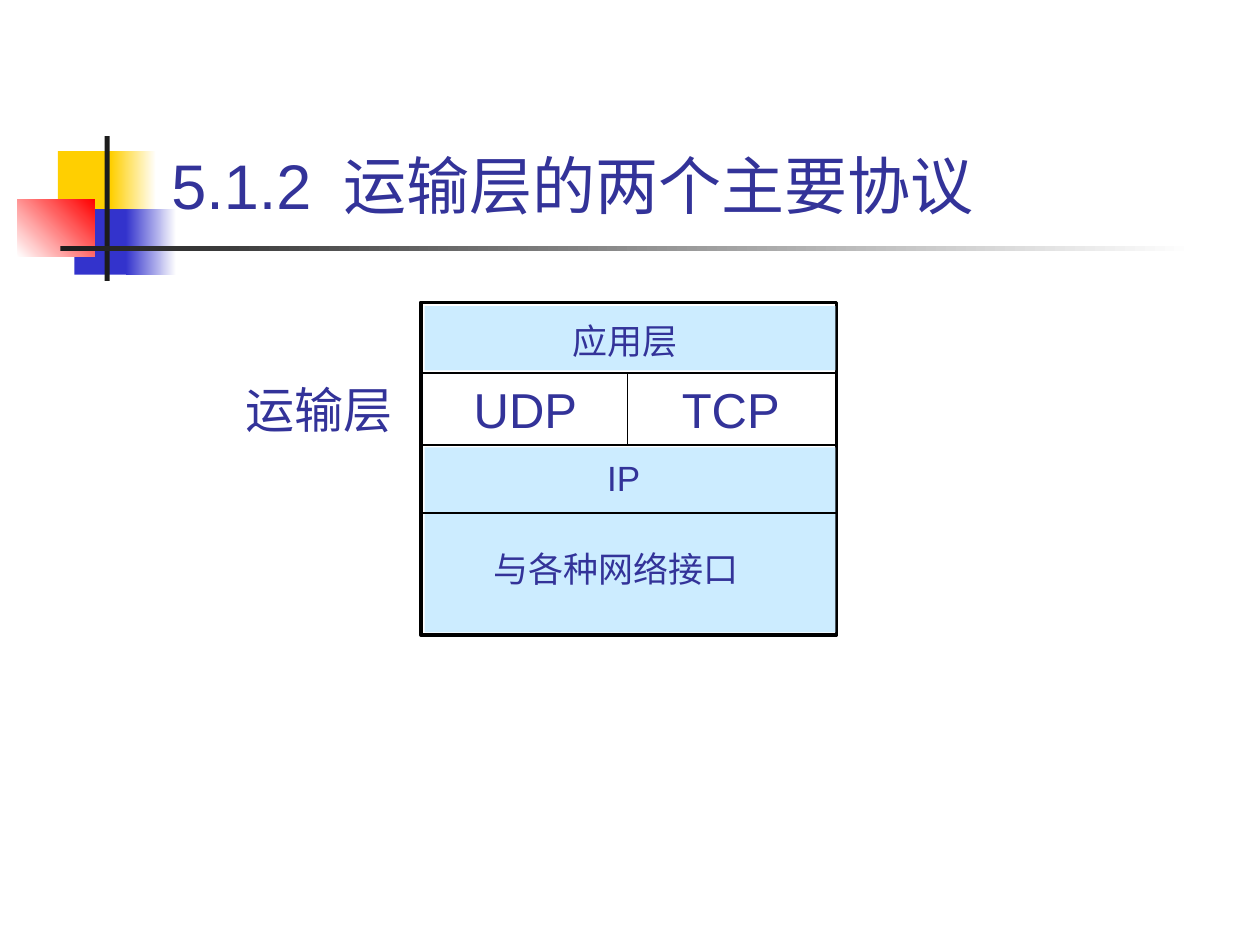
from lxml import etree
from pptx import Presentation
from pptx.dml.color import RGBColor
from pptx.enum import shapes, text
from pptx.oxml.ns import qn
from pptx.util import Inches, Pt

YELLOW = RGBColor(0xFF, 0xCF, 0x01)
BLUE = RGBColor(0x33, 0x33, 0xCC)
RED = RGBColor(0xFF, 0x00, 0x00)
DARK = RGBColor(0x1C, 0x1C, 0x1C)
WHITE = RGBColor(0xFF, 0xFF, 0xFF)
BLACK = RGBColor(0x00, 0x00, 0x00)
SKY = RGBColor(0xCC, 0xEC, 0xFF)
INK = RGBColor(0x33, 0x33, 0x99)

prs = Presentation()
prs.slide_width, prs.slide_height = Inches(10), Inches(7.5)
s = prs.slides.add_slide(prs.slide_layouts[5])


def add_rect(box, start, end=None, angle=0):
    """Add a borderless rectangle, with a gradient when an end colour is given."""
    sp = s.shapes.add_shape(shapes.MSO_SHAPE.RECTANGLE, *map(Inches, box))
    sp.shadow.inherit = False
    sp.line.fill.background()
    if end is None:
        sp.fill.solid()
        sp.fill.fore_color.rgb = start
    else:
        sp.fill.gradient()
        sp.fill.gradient_angle = angle
        for stop, color in zip(sp.fill.gradient_stops, (start, end)):
            stop.color.rgb = color
    return sp


# Corner ornament and title rule
add_rect((0.46, 1.2, 0.48, 0.52), YELLOW)
add_rect((0.88, 1.2, 0.36, 0.52), YELLOW, WHITE)
add_rect((0.59, 1.66, 0.46, 0.52), BLUE)
add_rect((1, 1.66, 0.4, 0.52), BLUE, WHITE)
add_rect((0.14, 1.58, 0.61, 0.46), WHITE, RED, 45)
add_rect((0.83, 1.08, 0.04, 1.15), DARK)
add_rect((0.48, 1.95, 9, 0.04), DARK, WHITE)

# Title, with a tab stop between number and heading
title = s.shapes.title
title.left, title.top = Inches(1.26), Inches(0.23)
title.width, title.height = Inches(8.52), Inches(1.58)
tf = title.text_frame
tf.auto_size = text.MSO_AUTO_SIZE.NONE
tf.vertical_anchor = text.MSO_ANCHOR.BOTTOM
tf.text = "5.1.2\t运输层的两个主要协议"
p = tf.paragraphs[0]
p.alignment = text.PP_ALIGN.LEFT
tabs = etree.SubElement(p._p.get_or_add_pPr(), qn("a:tabLst"))
etree.SubElement(tabs, qn("a:tab"), pos=str(Inches(1.37)), algn="l")
p.font.size, p.font.name = Pt(36), "Arial"
p.font.color.rgb = INK

# Protocol stack: frame, layer fills and dividers
frame = add_rect((3.34, 2.4, 3.3, 2.64), WHITE)
frame.line.color.rgb, frame.line.width = BLACK, Pt(2)
add_rect((3.37, 2.43, 3.26, 0.51), SKY)
add_rect((3.37, 3.55, 3.26, 1.47), SKY)

dividers = [(3.34, y, 6.64, y) for y in (2.96, 3.53, 4.07)]
dividers.append((4.98, 2.96, 4.98, 3.53))
for ends in dividers:
    line = s.shapes.add_connector(shapes.MSO_CONNECTOR.STRAIGHT, *map(Inches, ends))
    line.line.color.rgb, line.line.width = BLACK, Pt(1)
    etree.SubElement(line._element.spPr, qn("a:effectLst"))

# Layer names, centred in boxes with room to spare
labels = [
    ("TCP", (5.25, 2.96, 1.1, 0.56), 28, "Arial"),
    ("UDP", (3.62, 2.96, 1.1, 0.56), 28, "Arial"),
    ("IP", (4.65, 3.57, 0.6, 0.43), 20, "Arial"),
    ("应用层", (4.36, 2.49, 1.2, 0.43), 20, "Arial"),
    ("与各种网络接口", (3.64, 4.3, 2.5, 0.43), 20, "Arial"),
    ("运输层", (1.73, 2.96, 1.6, 0.57), 28, "Roboto"),
]
for name, box, size, font in labels:
    tf = s.shapes.add_textbox(*map(Inches, box)).text_frame
    tf.word_wrap = False
    tf.text = name
    p = tf.paragraphs[0]
    p.alignment = text.PP_ALIGN.CENTER
    p.font.size, p.font.name = Pt(size), font
    p.font.color.rgb = INK

prs.save("out.pptx")
